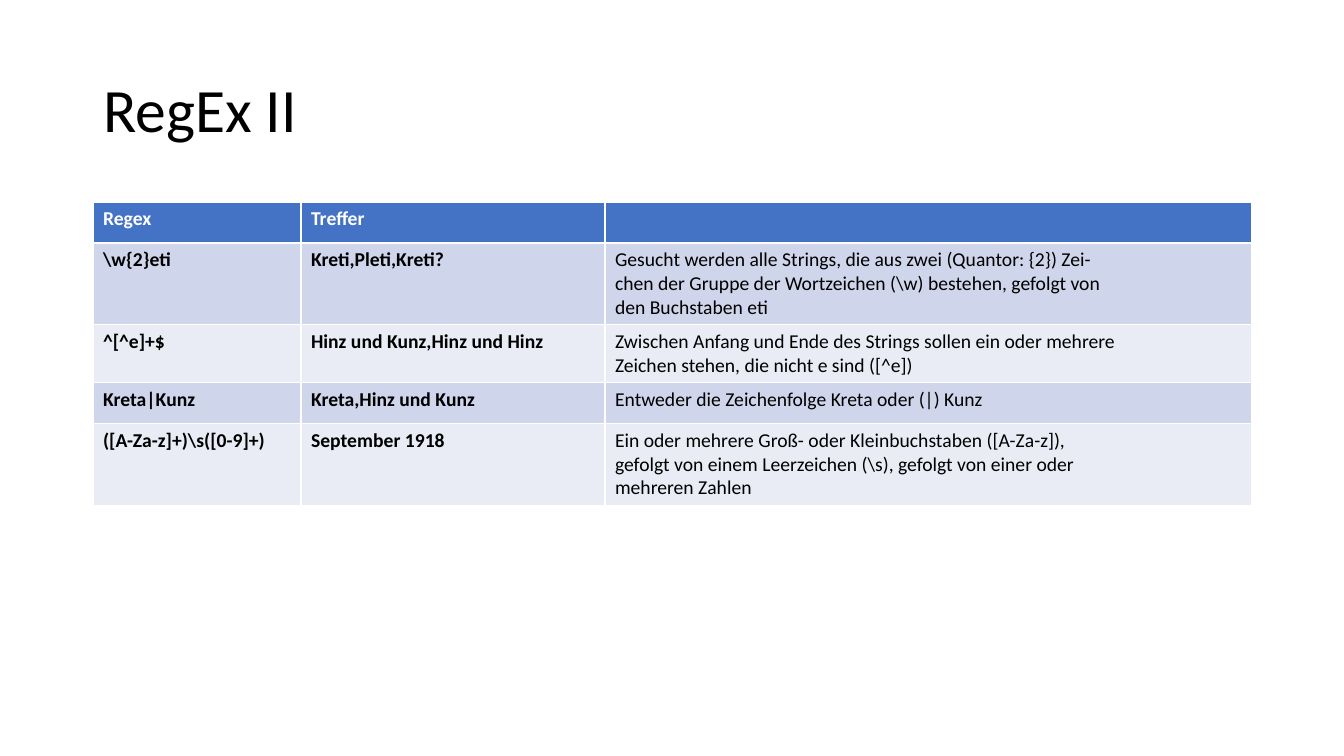
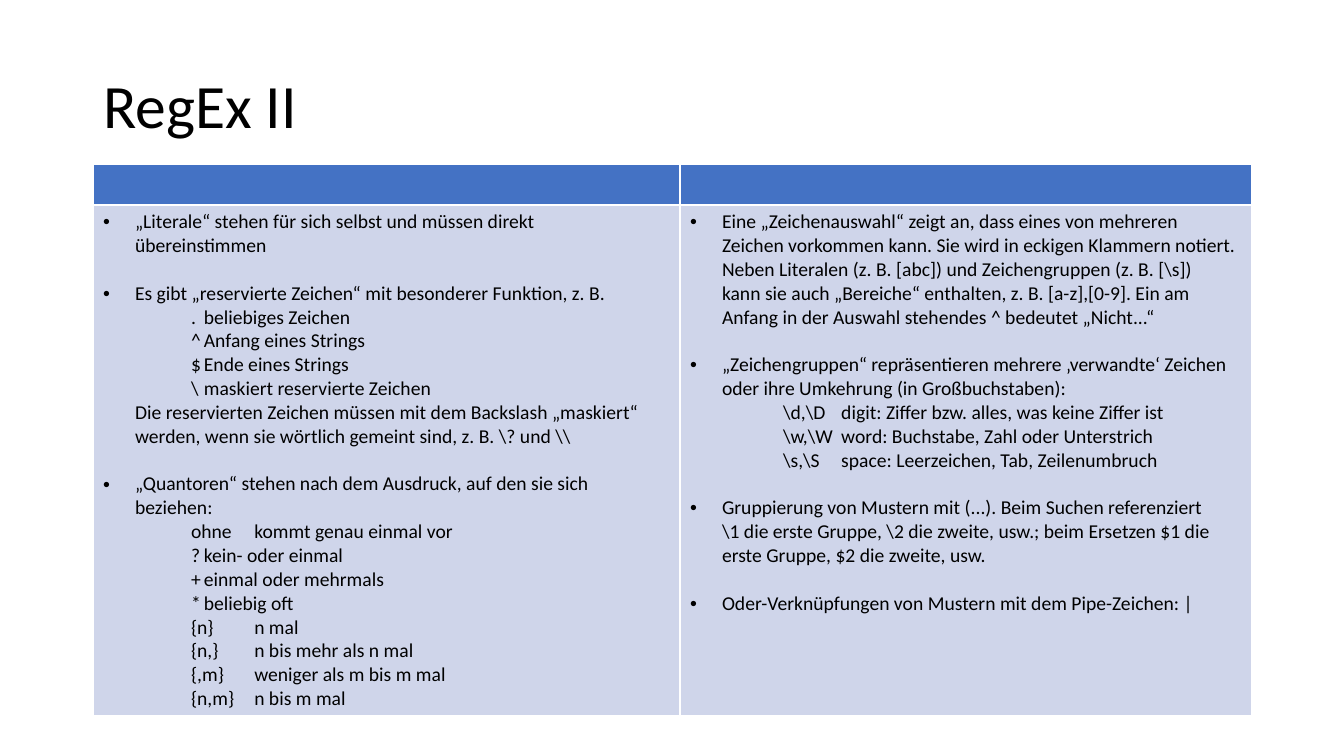
from dataclasses import dataclass

from lxml.etree import SubElement
from pptx import Presentation
from pptx.dml.color import RGBColor as Color
from pptx.enum.text import MSO_ANCHOR as Anchor, PP_ALIGN as Align
from pptx.oxml.ns import qn
from pptx.util import Pt

EMU_PER_PIXEL = 914400 / 100.8


def px(pixels):
    return round(pixels * EMU_PER_PIXEL)


@dataclass(frozen=True)
class Theme:
    font: str = "Calibri"
    title_size: int = 44
    body_size: int = 14
    ink: str = "000000"
    header_ink: str = "FFFFFF"
    header: str = "4472C4"
    bands: tuple = ("CFD5EA", "E9EBF5")
    left: int = 93
    width: int = 1159
    title_height: int = 146
    row_height: int = 41
    hang: int = 32
    group_gap: int = 17


@dataclass(frozen=True)
class Bullet:
    text: str


@dataclass(frozen=True)
class Continuation:
    text: str


@dataclass(frozen=True)
class Entry:
    symbol: str
    meaning: str


class Deck:
    def __init__(self, theme):
        self.theme = theme
        self.presentation = Presentation()
        self.presentation.slide_width = px(1344)
        self.presentation.slide_height = px(756)
        self.slide = None

    def add_slide(self, title, top):
        theme = self.theme
        layout = self.presentation.slide_layouts[5]
        self.slide = self.presentation.slides.add_slide(layout)
        shape = self.slide.shapes.title
        shape.left, shape.top = px(theme.left), px(top)
        shape.width, shape.height = px(theme.width), px(theme.title_height)
        shape.text_frame.vertical_anchor = Anchor.MIDDLE
        paragraph = shape.text_frame.paragraphs[0]
        paragraph.text = title
        paragraph.alignment = Align.LEFT
        paragraph.line_spacing = 0.9
        self.style(paragraph, theme.title_size, theme.ink)

    def style(self, paragraph, size, color, bold=False):
        font = paragraph.font
        font.name, font.size, font.bold = self.theme.font, Pt(size), bold
        font.color.rgb = Color.from_string(color)

    def add_table(self, top, height, widths, row_count):
        """Add a table with a header band and alternating body bands."""
        theme = self.theme
        frame = self.slide.shapes.add_table(
            row_count, len(widths), px(theme.left), px(top), px(theme.width), px(height))
        table = frame.table
        for column, width in zip(table.columns, widths):
            column.width = px(width)
        for index, row in enumerate(table.rows):
            row.height = px(theme.row_height)
            color = theme.bands[(index - 1) % 2] if index else theme.header
            for cell in row.cells:
                cell.fill.solid()
                cell.fill.fore_color.rgb = Color.from_string(color)
        frame.height = px(height)
        return table

    def write_cell(self, cell, text, color, bold):
        paragraph = cell.text_frame.paragraphs[0]
        paragraph.text = text
        self.style(paragraph, self.theme.body_size, color, bold)

    def write_notes_cell(self, cell, items, symbol_offset, meaning_offset):
        """Fill a cell with bullets, continuations and tabbed entries."""
        theme = self.theme
        for index, item in enumerate(items):
            frame = cell.text_frame
            paragraph = frame.add_paragraph() if index else frame.paragraphs[0]
            if isinstance(item, Entry):
                paragraph.text = f"{item.symbol}\t{item.meaning}"
                self.indent(paragraph, 0, symbol_offset)
                self.add_tab(paragraph, meaning_offset)
            elif isinstance(item, Bullet):
                paragraph.text = item.text
                if index:
                    paragraph.space_before = Pt(theme.group_gap)
                self.indent(paragraph, theme.hang, -theme.hang)
                self.add_bullet(paragraph)
            else:
                paragraph.text = item.text
                self.indent(paragraph, theme.hang, 0)
            self.style(paragraph, theme.body_size, theme.ink)

    def indent(self, paragraph, margin, first_line):
        properties = paragraph._p.get_or_add_pPr()
        properties.set("marL", str(px(margin)))
        properties.set("indent", str(px(first_line)))

    def add_bullet(self, paragraph):
        properties = paragraph._p.get_or_add_pPr()
        SubElement(properties, qn("a:buFont"), typeface="Arial")
        SubElement(properties, qn("a:buChar"), char="•")

    def add_tab(self, paragraph, position):
        tabs = SubElement(paragraph._p.get_or_add_pPr(), qn("a:tabLst"))
        SubElement(tabs, qn("a:tab"), pos=str(px(position)), algn="l")

    def save(self):
        self.presentation.save("out.pptx")


theme = Theme()
deck = Deck(theme)

# Slide 1: patterns with their matches
EXAMPLES = [
    ("Regex", "Treffer", ""),
    (r"\w{2}eti", "Kreti,Pleti,Kreti?",
     "Gesucht werden alle Strings, die aus zwei (Quantor: {2}) Zei-\n"
     "chen der Gruppe der Wortzeichen (\\w) bestehen, gefolgt von\n"
     "den Buchstaben eti"),
    ("^[^e]+$", "Hinz und Kunz,Hinz und Hinz",
     "Zwischen Anfang und Ende des Strings sollen ein oder mehrere\n"
     "Zeichen stehen, die nicht e sind ([^e])"),
    ("Kreta|Kunz", "Kreta,Hinz und Kunz",
     "Entweder die Zeichenfolge Kreta oder (|) Kunz"),
    (r"([A-Za-z]+)\s([0-9]+)", "September 1918",
     "Ein oder mehrere Groß- oder Kleinbuchstaben ([A-Za-z]),\n"
     "gefolgt von einem Leerzeichen (\\s), gefolgt von einer oder\n"
     "mehreren Zahlen"),
]
deck.add_slide("RegEx II", top=40)
examples = deck.add_table(202, 300, (208, 304, 647), len(EXAMPLES))
for row_index, texts in enumerate(EXAMPLES):
    color = theme.ink if row_index else theme.header_ink
    for column_index, text in enumerate(texts):
        if text:
            deck.write_cell(examples.cell(row_index, column_index), text,
                            color, bold=column_index < 2)

# Slide 2: syntax overview in two columns
LITERALS_AND_QUANTIFIERS = [
    Bullet("„Literale“ stehen für sich selbst und müssen direkt übereinstimmen"),
    Bullet("Es gibt „reservierte Zeichen“ mit besonderer Funktion, z. B."),
    Entry(".", "beliebiges Zeichen"),
    Entry("^", "Anfang eines Strings"),
    Entry("$", "Ende eines Strings"),
    Entry("\\", "maskiert reservierte Zeichen"),
    Continuation("Die reservierten Zeichen müssen mit dem Backslash „maskiert“\n"
                 "werden, wenn sie wörtlich gemeint sind, z. B. \\? und \\\\"),
    Bullet("„Quantoren“ stehen nach dem Ausdruck, auf den sie sich beziehen:"),
    Entry("ohne", "kommt genau einmal vor"),
    Entry("?", "kein- oder einmal"),
    Entry("+", "einmal oder mehrmals"),
    Entry("*", "beliebig oft"),
    Entry("{n}", "n mal"),
    Entry("{n,}", "n bis mehr als n mal"),
    Entry("{,m}", "weniger als m bis m mal"),
    Entry("{n,m}", "n bis m mal"),
]
CLASSES_AND_GROUPS = [
    Bullet("Eine „Zeichenauswahl“ zeigt an, dass eines von mehreren\n"
           "Zeichen vorkommen kann. Sie wird in eckigen Klammern notiert.\n"
           "Neben Literalen (z. B. [abc]) und Zeichengruppen (z. B. [\\s])\n"
           "kann sie auch „Bereiche“ enthalten, z. B. [a-z],[0-9]. Ein am\n"
           "Anfang in der Auswahl stehendes ^ bedeutet „Nicht...“"),
    Bullet("„Zeichengruppen“ repräsentieren mehrere ‚verwandte‘ Zeichen\n"
           "oder ihre Umkehrung (in Großbuchstaben):"),
    Entry(r"\d,\D", "digit: Ziffer bzw. alles, was keine Ziffer ist"),
    Entry(r"\w,\W", "word: Buchstabe, Zahl oder Unterstrich"),
    Entry(r"\s,\S", "space: Leerzeichen, Tab, Zeilenumbruch"),
    Bullet("Gruppierung von Mustern mit (...). Beim Suchen referenziert\n"
           "\\1 die erste Gruppe, \\2 die zweite, usw.; beim Ersetzen $1 die\n"
           "erste Gruppe, $2 die zweite, usw."),
    Bullet("Oder-Verknüpfungen von Mustern mit dem Pipe-Zeichen: |"),
]
deck.add_slide("RegEx II", top=36)
syntax = deck.add_table(164, 545, (587, 572), 2)
deck.write_notes_cell(syntax.cell(1, 0), LITERALS_AND_QUANTIFIERS, 88, 142)
deck.write_notes_cell(syntax.cell(1, 1), CLASSES_AND_GROUPS, 93, 192)

deck.save()
